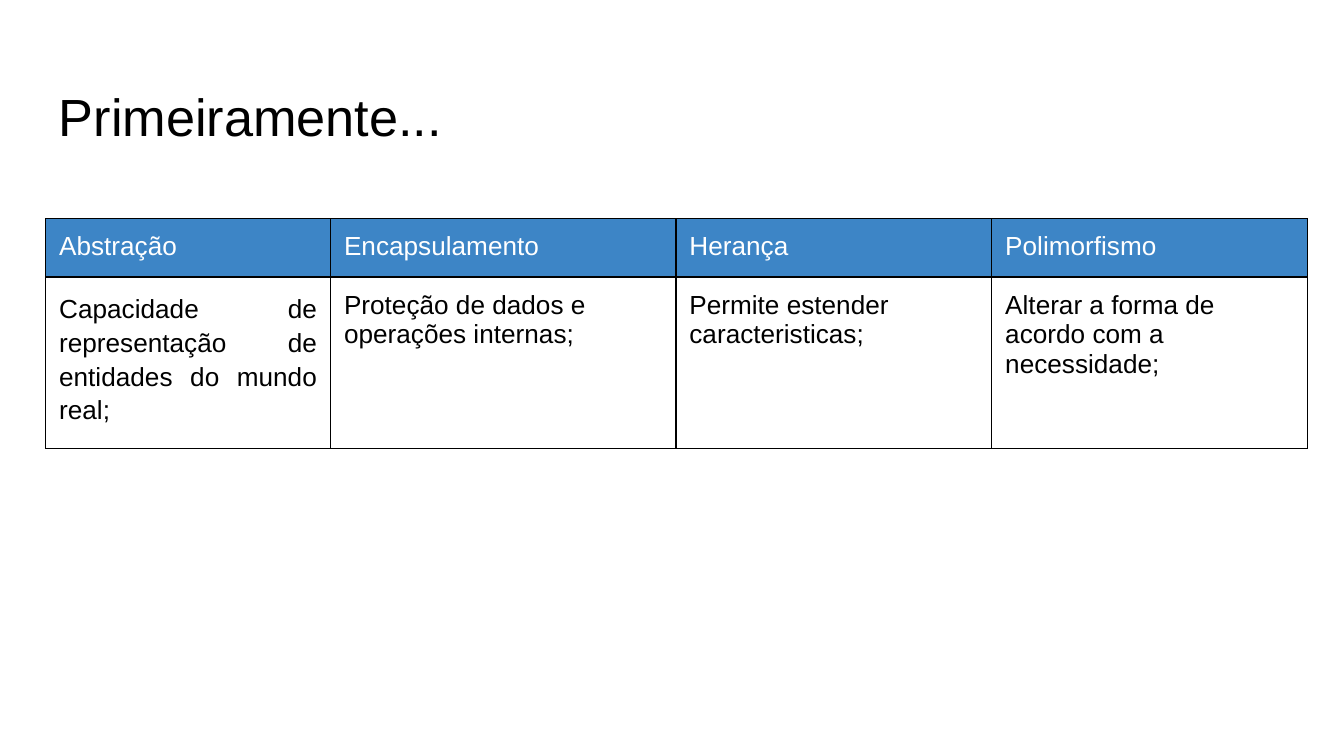
from dataclasses import dataclass

from lxml import etree
from pptx import Presentation
from pptx.dml.color import RGBColor
from pptx.enum import text
from pptx.oxml import ns
from pptx.util import Pt


@dataclass(frozen=True)
class Theme:
    """Colours, font and sizes of the slide."""
    font: str = "Arial"
    ink: str = "000000"
    paper: str = "FFFFFF"
    blue: str = "3D85C6"
    title: float = 28
    body: float = 14
    pad: float = 7.2
    rule: float = 0.75


THEME = Theme()
LEFT = 24.5
COLS = (152.64, 185.04, 169.2, 169.2)
ROWS = (30.5, 86.4)
HEADS = ("Abstração", "Encapsulamento", "Herança", "Polimorfismo")
NOTES = (
    "Capacidade de representação de entidades do mundo real;",
    "Proteção de dados e operações internas;",
    "Permite estender caracteristicas;",
    "Alterar a forma de acordo com a necessidade;",
)
JUSTIFY = dict(align=text.PP_ALIGN.JUSTIFY, lead=1.15, after=16)


def write(frame, words, size=THEME.body, color=THEME.ink,
          align=text.PP_ALIGN.LEFT, lead=None, after=0):
    """Put one formatted paragraph in a text frame."""
    para = frame.paragraphs[0]
    para.alignment = align
    para.line_spacing = lead
    para.space_after = Pt(after)
    run = para.add_run()
    run.text = words
    run.font.name = THEME.font
    run.font.size = Pt(size)
    run.font.color.rgb = RGBColor.from_string(color)


def pad(item):
    """Set equal margins on a cell or text frame."""
    for side in ("left", "top", "right", "bottom"):
        setattr(item, f"margin_{side}", Pt(THEME.pad))


def border(cell):
    """Draw a thin line on all four sides of a cell."""
    props = cell._tc.get_or_add_tcPr()
    for place, side in enumerate(("lnL", "lnR", "lnT", "lnB")):
        line = etree.Element(ns.qn(f"a:{side}"), w=str(Pt(THEME.rule)))
        fill = etree.SubElement(line, ns.qn("a:solidFill"))
        etree.SubElement(fill, ns.qn("a:srgbClr"), val=THEME.ink)
        props.insert(place, line)


def add_title(slide, words):
    """Add the heading above the table."""
    box = slide.shapes.add_textbox(Pt(LEFT), Pt(35.3), Pt(671), Pt(45.4))
    frame = box.text_frame
    frame.word_wrap = True
    pad(frame)
    frame.margin_top = Pt(10)
    write(frame, words, size=THEME.title)


def fill_cell(cell, words, head, **form):
    """Style one cell and write its text."""
    pad(cell)
    if head:
        cell.fill.solid()
        cell.fill.fore_color.rgb = RGBColor.from_string(THEME.blue)
    else:
        cell.fill.background()
    border(cell)
    write(cell.text_frame, words,
          color=THEME.paper if head else THEME.ink, **form)


def add_grid(slide):
    """Add the table of concepts and their meanings."""
    table = slide.shapes.add_table(
        len(ROWS), len(COLS), Pt(LEFT), Pt(117.2),
        Pt(sum(COLS)), Pt(sum(ROWS))).table
    table.horz_banding = False
    table.first_row = False
    for col, width in zip(table.columns, COLS):
        col.width = Pt(width)
    for row, height in zip(table.rows, ROWS):
        row.height = Pt(height)
    for i, (head, note) in enumerate(zip(HEADS, NOTES)):
        fill_cell(table.cell(0, i), head, True)
        fill_cell(table.cell(1, i), note, False, **({} if i else JUSTIFY))


def main():
    """Build and save the slide."""
    deck = Presentation()
    deck.slide_width, deck.slide_height = Pt(720), Pt(405)
    slide = deck.slides.add_slide(deck.slide_layouts[6])
    slide.background.fill.solid()
    slide.background.fill.fore_color.rgb = RGBColor.from_string(THEME.paper)
    add_title(slide, "Primeiramente...")
    add_grid(slide)
    deck.save("out.pptx")


main()
